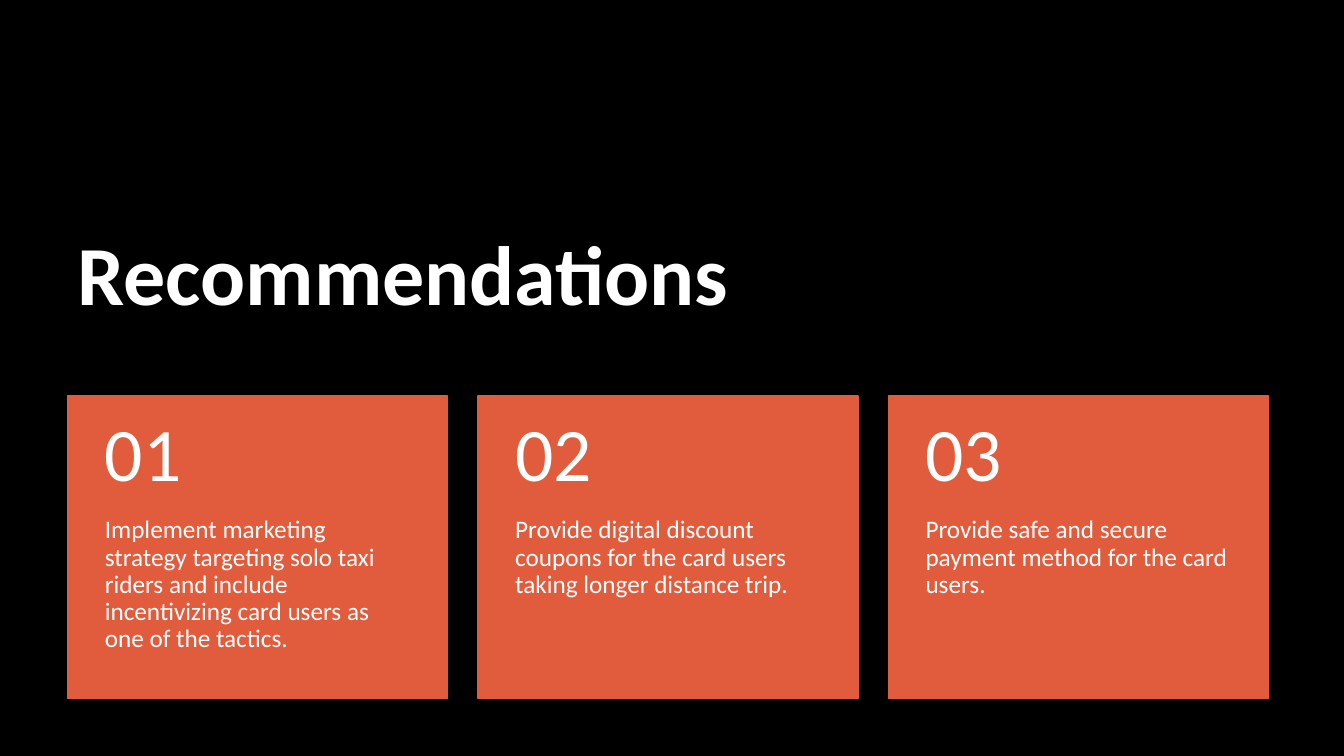
from dataclasses import dataclass

from pptx import Presentation
from pptx.dml.color import RGBColor
from pptx.enum.shapes import MSO_SHAPE
from pptx.enum.text import MSO_ANCHOR, MSO_AUTO_SIZE, PP_ALIGN
from pptx.util import Inches, Pt

RECT = MSO_SHAPE.RECTANGLE
TOP, MIDDLE, BOTTOM = MSO_ANCHOR.TOP, MSO_ANCHOR.MIDDLE, MSO_ANCHOR.BOTTOM
LEFT = PP_ALIGN.LEFT
NO_FIT = MSO_AUTO_SIZE.NONE


@dataclass(frozen=True)
class Theme:
    back: RGBColor = RGBColor(0x00, 0x00, 0x00)
    card: RGBColor = RGBColor(0xE1, 0x5C, 0x3D)
    ink: RGBColor = RGBColor(0xFF, 0xFF, 0xFF)
    font: str = "Calibri"
    title: int = 60
    number: int = 54
    body: int = 18


THEME = Theme()
WIDE, HIGH = 13.33, 7.5
MARGIN = 0.67
SPAN = 11.91
GAP = 0.3
HEAD = 0.4  # share of a card's height given to its number
ADVICE = [
    "Implement marketing strategy targeting solo taxi riders and include "
    "incentivizing card users as one of the tactics.",
    "Provide digital discount coupons for the card users taking longer "
    "distance trip.",
    "Provide safe and secure payment method for the card users.",
]


def inches(box):
    return [Inches(side) for side in box]


def write(shape, text, size, anchor, insets, bold=False):
    """Fill a shape with one left-aligned run; insets go left, top, right, bottom."""
    frame = shape.text_frame
    frame.word_wrap = True
    frame.auto_size = NO_FIT
    frame.vertical_anchor = anchor
    (frame.margin_left, frame.margin_top,
     frame.margin_right, frame.margin_bottom) = inches(insets)
    para = frame.paragraphs[0]
    para.alignment = LEFT
    para.line_spacing = 0.9
    run = para.add_run()
    run.text = text
    font = run.font
    font.name, font.size, font.bold = THEME.font, Pt(size), bold
    font.color.rgb = THEME.ink


def add_title(slide, box, text):
    title = slide.shapes.title
    title.left, title.top, title.width, title.height = inches(box)
    write(title, text, THEME.title, BOTTOM, (0.1, 0.05, 0.1, 0.05), True)


def add_card(shapes, box, number, text):
    left, top, width, height = box
    head = height * HEAD
    panel = shapes.add_shape(RECT, *inches(box))
    panel.shadow.inherit = False
    panel.fill.solid()
    panel.fill.fore_color.rgb = THEME.card
    panel.line.color.rgb = THEME.card
    panel.line.width = Pt(1)
    body = shapes.add_textbox(*inches((left, top + head, width, height - head)))
    write(body, text, THEME.body, TOP, (0.37, 0, 0.37, 0.36))
    label = shapes.add_textbox(*inches((left, top, width, head)))
    write(label, f"{number:02}", THEME.number, MIDDLE, (0.37, 0.18, 0.37, 0.18))


def add_cards(slide, box, texts):
    left, top, width, height = box
    group = slide.shapes.add_group_shape()
    wide = (width - GAP * (len(texts) - 1)) / len(texts)
    for col, text in enumerate(texts):
        place = (left + col * (wide + GAP), top, wide, height)
        add_card(group.shapes, place, col + 1, text)


def main():
    deck = Presentation()
    deck.slide_width, deck.slide_height = inches((WIDE, HIGH))
    slide = deck.slides.add_slide(deck.slide_layouts.get_by_name("Title Only"))
    fill = slide.background.fill
    fill.solid()
    fill.fore_color.rgb = THEME.back
    add_title(slide, (MARGIN, 2.02, SPAN, 1.24), "Recommendations")
    add_cards(slide, (MARGIN, 3.93, SPAN, 3), ADVICE)
    deck.save("out.pptx")


if __name__ == "__main__":
    main()
